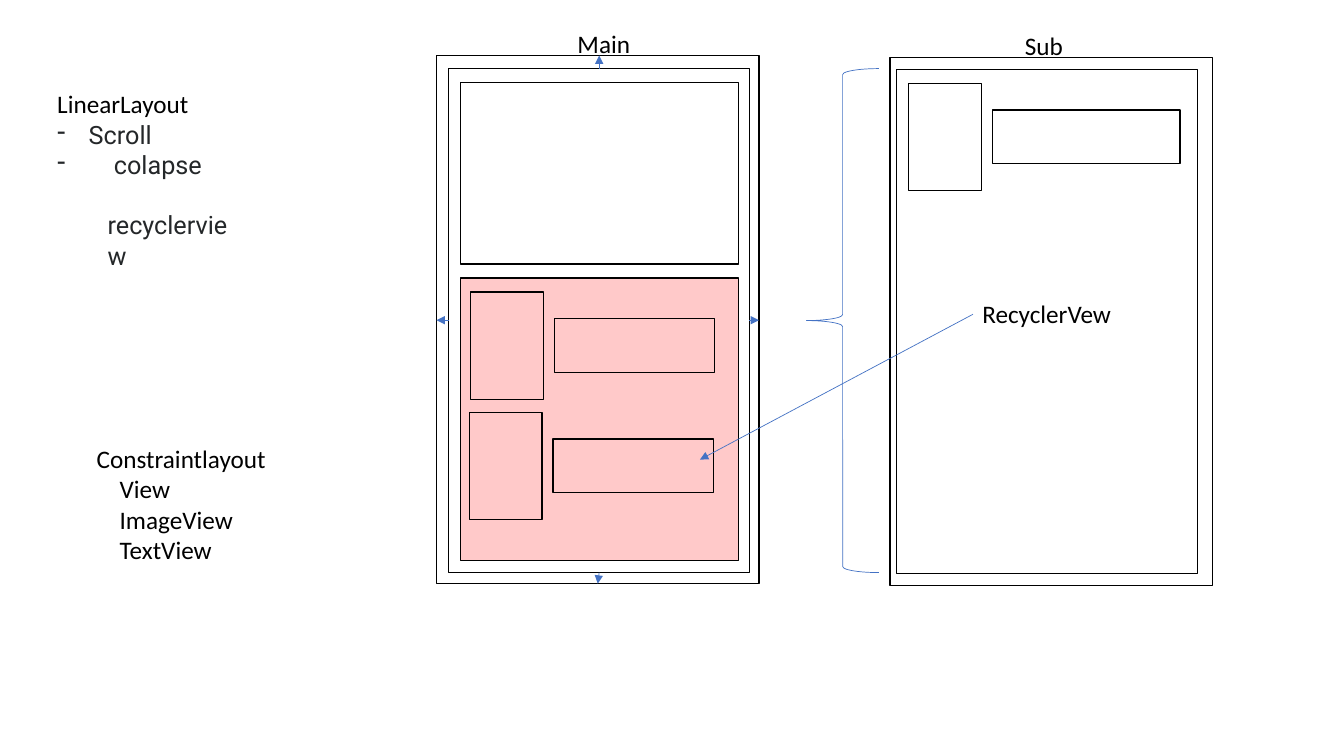
from collections import namedtuple
from dataclasses import dataclass
from pptx import Presentation
from pptx.dml.color import RGBColor
from pptx.enum.shapes import MSO_CONNECTOR, MSO_SHAPE
from pptx.oxml.ns import qn
from pptx.util import Pt
from lxml.etree import SubElement

Box = namedtuple("Box", "left top width height")


@dataclass(frozen=True)
class Theme:
    ink: RGBColor = RGBColor(0, 0, 0)
    soft_ink: RGBColor = RGBColor(0x24, 0x27, 0x29)
    accent: RGBColor = RGBColor(0x44, 0x72, 0xC4)
    highlight: RGBColor = RGBColor(0xFF, 0, 0)
    highlight_alpha: int = 21000
    font: str = "Calibri"
    alternate_font: str = "Roboto"
    text_size: float = 18
    outline: float = 1
    thin_line: float = 0.5


theme = Theme()


def add_outline(slide, box, kind=MSO_SHAPE.RECTANGLE, color=theme.ink, width=theme.outline):
    shape = slide.shapes.add_shape(kind, *map(Pt, box))
    shape.shadow.inherit = False
    shape.fill.background()
    shape.line.color.rgb = color
    shape.line.width = Pt(width)
    return shape


def add_arrow(slide, start, end):
    connector = slide.shapes.add_connector(MSO_CONNECTOR.STRAIGHT, *map(Pt, start + end))
    connector.line.color.rgb = theme.accent
    connector.line.width = Pt(theme.thin_line)
    SubElement(connector.line._get_or_add_ln(), qn("a:tailEnd"), type="triangle")
    SubElement(connector._element.spPr, qn("a:effectLst"))


def add_text(slide, box, lines, wrap=True):
    text_frame = slide.shapes.add_textbox(*map(Pt, box)).text_frame
    text_frame.word_wrap = wrap
    text_frame.text = "\n".join(lines)
    for paragraph in text_frame.paragraphs:
        style_paragraph(paragraph, theme.font, theme.ink)
    return text_frame.paragraphs


def style_paragraph(paragraph, font, color):
    for run in paragraph.runs:
        run.font.name = font
        run.font.size = Pt(theme.text_size)
        run.font.color.rgb = color


def indent_paragraph(paragraph, margin, bullet=None):
    properties = paragraph._p.get_or_add_pPr()
    properties.set("marL", str(Pt(margin)))
    properties.set("indent", str(Pt(-margin if bullet else 0)))
    if bullet:
        SubElement(properties, qn("a:buChar"), char=bullet)


def add_card(slide, left, top, label_width):
    add_outline(slide, Box(left, top, 52, 76.5))
    add_outline(slide, Box(left + 59.8, top + 19, label_width, 38.2))


def add_screen(slide, box, inner, caption, caption_offset):
    add_outline(slide, box)
    add_outline(slide, inner)
    add_text(slide, Box(box.left + caption_offset, box.top - 22.7, 70, 29), [caption])


def add_main_screen(slide, box):
    inner = Box(box.left + 8.6, box.top + 9.4, 214.8, 360)
    add_screen(slide, box, inner, "Main", 93.6)
    add_outline(slide, Box(inner.left + 8.4, inner.top + 10, 198.7, 129.6))
    feed = Box(inner.left + 8.4, inner.top + 149.7, 198.7, 201.6)
    shape = add_outline(slide, feed)
    shape.fill.solid()
    shape.fill.fore_color.rgb = theme.highlight
    color = shape._element.spPr.find(qn("a:solidFill"))[0]
    SubElement(color, qn("a:alpha"), val=str(theme.highlight_alpha))
    for left, top in ((7.4, 10), (6.4, 96)):
        add_card(slide, feed.left + left, feed.top + top, 114.6)

    middle_x = box.left + box.width / 2 + 1
    middle_y = box.top + box.height / 2 + 0.5
    inner_right, inner_bottom = inner.left + inner.width, inner.top + inner.height
    right, bottom = box.left + box.width, box.top + box.height
    add_arrow(slide, (middle_x, inner.top), (middle_x, box.top))
    add_arrow(slide, (middle_x, inner_bottom), (middle_x - 1, bottom))
    add_arrow(slide, (inner.left, middle_y), (box.left, middle_y))
    add_arrow(slide, (inner_right, middle_y), (right, middle_y))


def add_sub_screen(slide, box):
    inner = Box(box.left + 5, box.top + 8.7, 214.8, 360)
    add_screen(slide, box, inner, "Sub", 89.3)
    add_card(slide, inner.left + 8.4, inner.top + 10, 134)
    add_text(slide, Box(box.left + 59, box.top + 168.5, 107, 29), ["RecyclerVew"], wrap=False)


def add_links(slide, box):
    add_outline(slide, Box(box.left + 76, box.top, 51.8, box.height),
                MSO_SHAPE.LEFT_BRACE, theme.accent, theme.thin_line)
    add_arrow(slide, (box.left + box.width, box.top + 175.5), (box.left, box.top + 279.3))


def add_linear_notes(slide, box):
    lines = ["LinearLayout", "Scroll", "colapse", "recyclerview"]
    paragraphs = add_text(slide, box, lines)
    for paragraph, margin, bullet in zip(paragraphs[1:], (22.5, 40.5, 36), ("-", "-", None)):
        style_paragraph(paragraph, theme.alternate_font, theme.soft_ink)
        indent_paragraph(paragraph, margin, bullet)
    paragraphs[-1].space_before = Pt(21.6)


def add_constraint_notes(slide, box):
    lines = ["Constraintlayout", "View", "ImageView", "TextView"]
    for paragraph in add_text(slide, box, lines)[1:]:
        indent_paragraph(paragraph, 16.4)


def build_layout_slide(presentation):
    slide = presentation.slides.add_slide(presentation.slide_layouts[6])
    add_main_screen(slide, Box(311.8, 39.6, 230.4, 377.3))
    add_sub_screen(slide, Box(635.6, 41, 230.4, 377.3))
    add_links(slide, Box(500, 49, 195, 360))
    add_linear_notes(slide, Box(33.8, 59.8, 142, 137))
    add_constraint_notes(slide, Box(62, 313.2, 159, 94.3))


presentation = Presentation()
presentation.slide_width = Pt(960)
presentation.slide_height = Pt(540)
build_layout_slide(presentation)
presentation.save("out.pptx")
